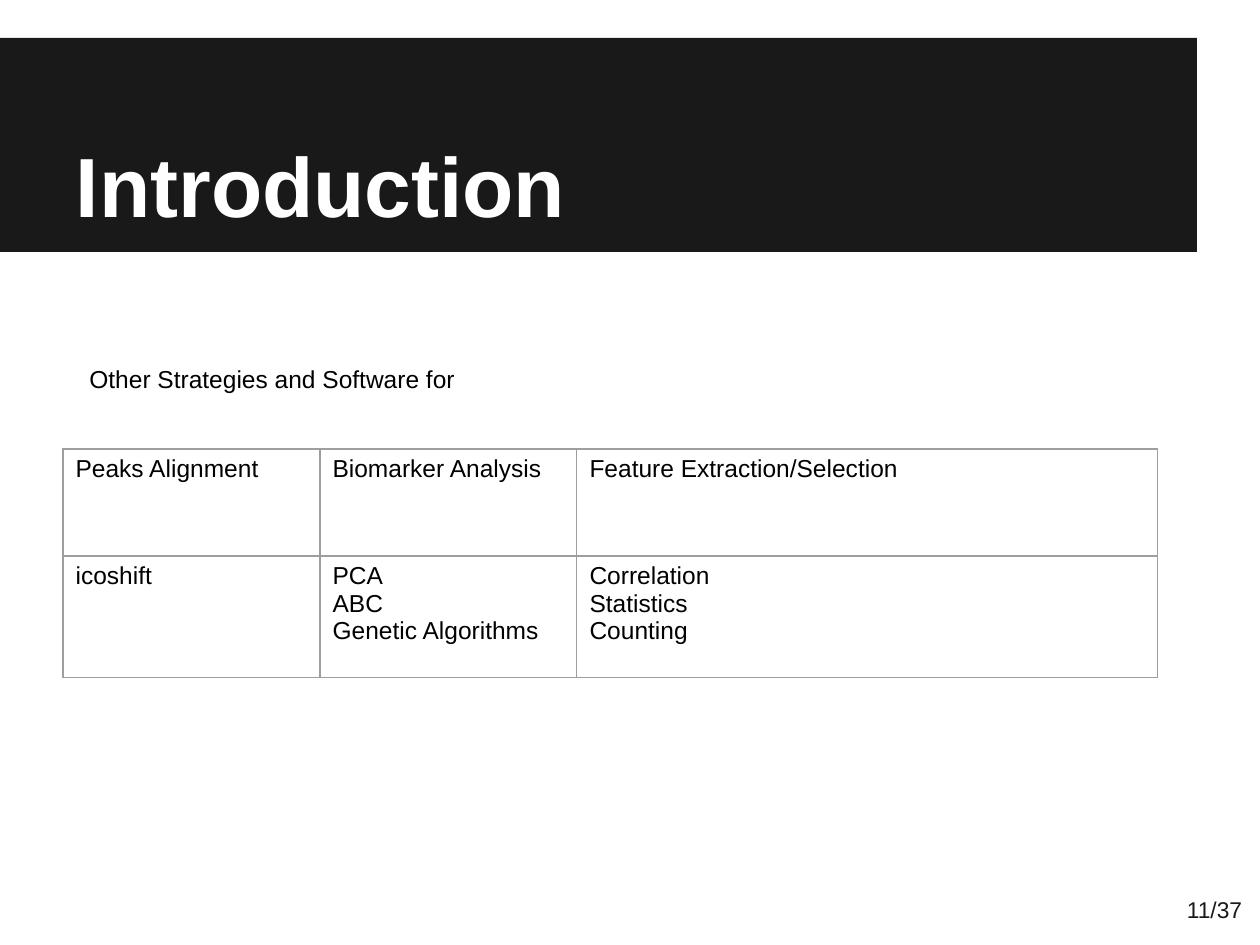
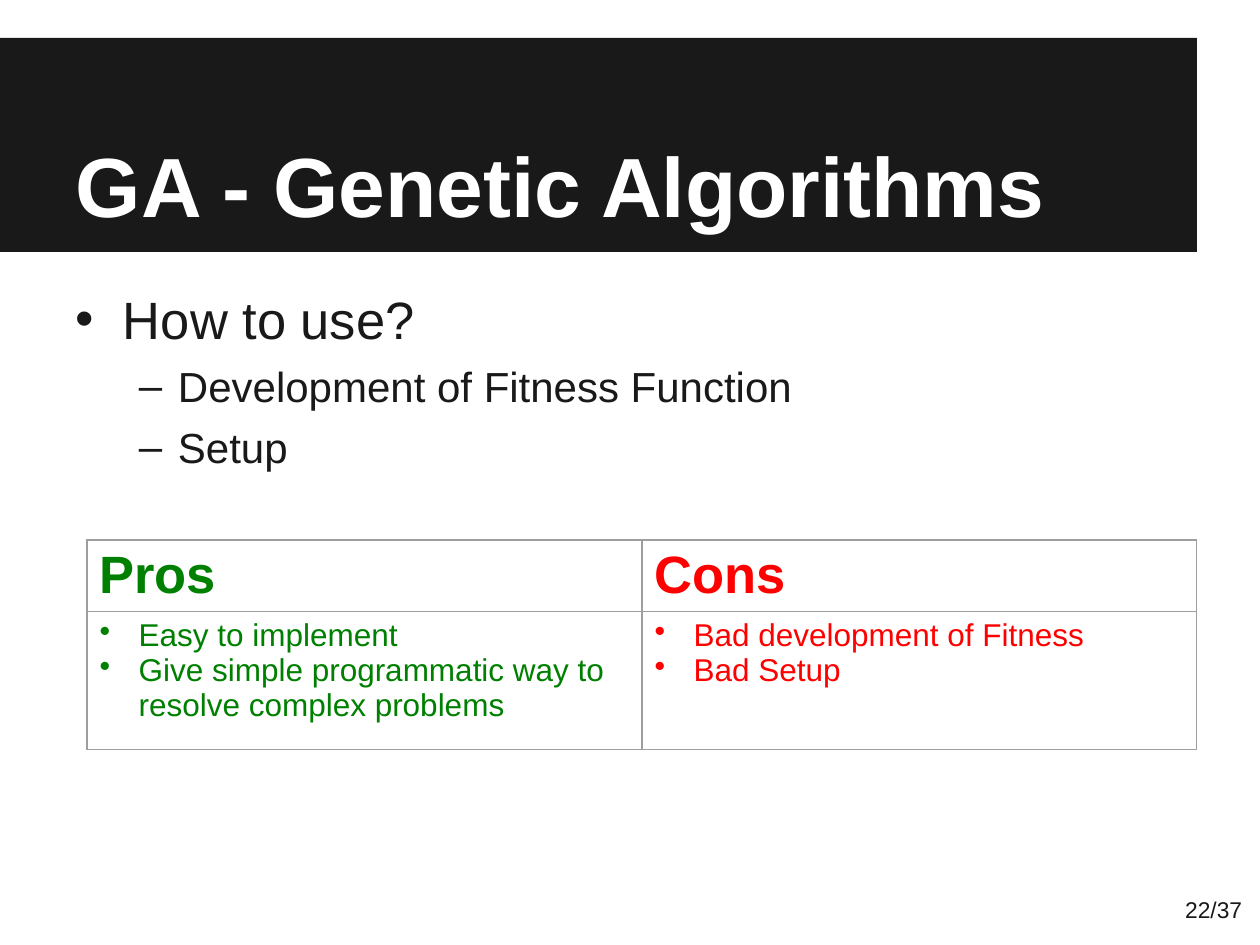
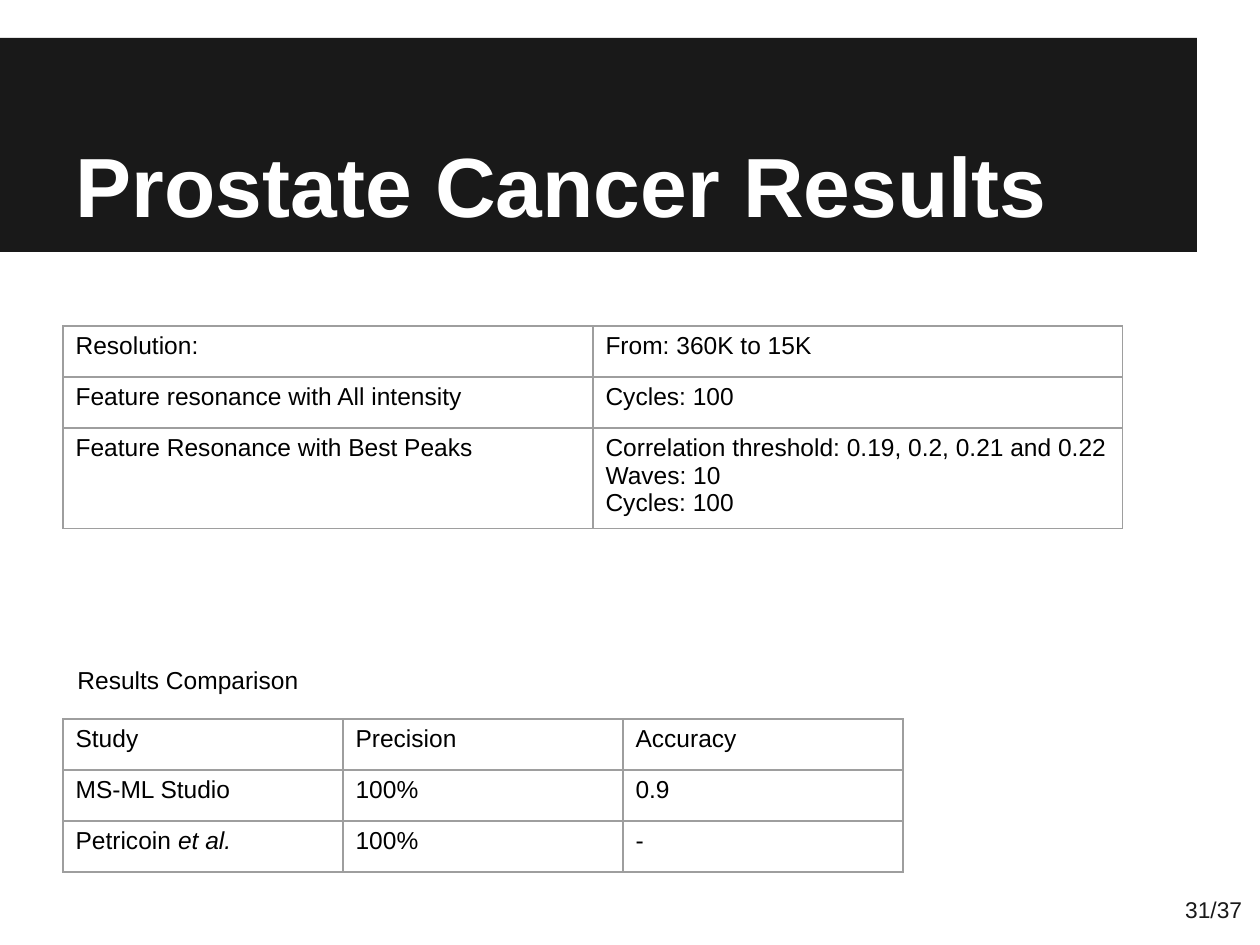
from lxml import etree
from pptx import Presentation
from pptx.dml.color import RGBColor
from pptx.enum.shapes import MSO_SHAPE
from pptx.enum.text import MSO_ANCHOR, MSO_AUTO_SIZE, PP_ALIGN
from pptx.oxml import parse_xml
from pptx.oxml.ns import nsdecls, qn
from pptx.util import Inches, Pt

PX = 914400 // 126
LEFT, RIGHT = PP_ALIGN.LEFT, PP_ALIGN.RIGHT
MIDDLE, BOTTOM = MSO_ANCHOR.MIDDLE, MSO_ANCHOR.BOTTOM
NO_AUTOFIT = MSO_AUTO_SIZE.NONE
RECTANGLE = MSO_SHAPE.RECTANGLE

FONT = "Arial"
DARK, WHITE, BLACK = "191919", "FFFFFF", "000000"
GREEN, RED, BORDER = "008000", "FF0000", "9E9E9E"


def write(frame, lines, size=14, color=BLACK, bold=False, align=LEFT,
          bullet=None, indent=0, hanging=0, level=0, space=0, inset=None, anchor=None):
    """Add lines to a text frame; text between asterisks is italic."""
    if inset is not None:
        frame.margin_left = frame.margin_right = inset * PX
        frame.margin_top = frame.margin_bottom = inset * PX
        frame.word_wrap = True
        frame.auto_size = NO_AUTOFIT
    if anchor is not None:
        frame.vertical_anchor = anchor
    for line in lines:
        first = frame.paragraphs[0]
        paragraph = frame.add_paragraph() if first.runs else first
        paragraph.alignment = align
        paragraph.level = level
        paragraph.space_before = Pt(space)
        if bullet:
            properties = paragraph._p.get_or_add_pPr()
            properties.set("marL", str(indent * PX))
            properties.set("indent", str(-hanging * PX))
            etree.SubElement(properties, qn("a:buChar")).set("char", bullet)
        for index, text in enumerate(line.split("*")):
            if text:
                run = paragraph.add_run()
                run.text = text
                run.font.name = FONT
                run.font.size = Pt(size)
                run.font.bold = bold
                run.font.italic = index % 2 == 1
                run.font.color.rgb = RGBColor.from_string(color)


def add_grid(slide, left, top, widths, heights, cells, formats=None):
    """Add a bordered table; formats holds the text format of each cell."""
    table = slide.shapes.add_table(
        len(heights), len(widths), left * PX, top * PX,
        sum(widths) * PX, sum(heights) * PX).table
    table.first_row = table.horz_banding = False
    for column, width in zip(table.columns, widths):
        column.width = width * PX
    for row_index, height in enumerate(heights):
        table.rows[row_index].height = height * PX
        for column_index, text in enumerate(cells[row_index]):
            cell = table.cell(row_index, column_index)
            cell.fill.background()
            for position, side in enumerate(("lnL", "lnR", "lnT", "lnB")):
                cell._tc.tcPr.insert(position, parse_xml(
                    f'<a:{side} {nsdecls("a")} w="{Pt(0.75)}"><a:solidFill>'
                    f'<a:srgbClr val="{BORDER}"/></a:solidFill></a:{side}>'))
            cell_format = formats[row_index][column_index] if formats else {}
            write(cell.text_frame, text.split("\n"), **cell_format)


presentation = Presentation()
presentation.slide_width = Inches(10)
presentation.slide_height = Inches(7.5)
content_layout, title_only_layout = (presentation.slide_layouts[i] for i in (1, 5))

# Title band, title and page number of every slide
slides = []
for title_text, page, layout in (
        ("Introduction", "11/37", title_only_layout),
        ("GA - Genetic Algorithms", "22/37", content_layout),
        ("Prostate Cancer Results", "31/37", title_only_layout)):
    slide = presentation.slides.add_slide(layout)
    slides.append(slide)
    band = slide.shapes.add_shape(RECTANGLE, 0, 38 * PX, 1197 * PX, 214 * PX)
    band.shadow.inherit = False
    band.fill.solid()
    band.fill.fore_color.rgb = RGBColor.from_string(DARK)
    band.line.fill.background()
    slide.shapes.title._element.addprevious(band._element)

    title = slide.shapes.title
    title.left, title.top, title.width, title.height = 63 * PX, 38 * PX, 1134 * PX, 209 * PX
    write(title.text_frame, [title_text], size=48, color=WHITE, bold=True,
          inset=13, anchor=BOTTOM)
    page_box = slide.shapes.add_textbox(1135 * PX, 873 * PX, 120 * PX, 72 * PX)
    write(page_box.text_frame, [page], size=13, color=DARK, align=RIGHT,
          inset=13, anchor=MIDDLE)
introduction, genetic, results = slides

# Captions above the tables
for slide, caption, left, top, width in (
        (introduction, "Other Strategies and Software for", 77, 358, 394),
        (results, "Results Comparison", 65, 659, 248)):
    caption_box = slide.shapes.add_textbox(left * PX, top * PX, width * PX, 43 * PX)
    caption_box.text_frame.word_wrap = False
    write(caption_box.text_frame, [caption])

# Introduction
add_grid(introduction, 63, 449, [257, 257, 581], [107, 122], [
    ["Peaks Alignment", "Biomarker Analysis", "Feature Extraction/Selection"],
    ["icoshift", "PCA\nABC\nGenetic Algorithms", "Correlation\nStatistics\nCounting"],
])

# Genetic algorithms
body = genetic.placeholders[1]
body.left, body.top, body.width, body.height = 63 * PX, 274 * PX, 1134 * PX, 630 * PX
write(body.text_frame, ["How to use?"], size=30, color=DARK,
      bullet="•", indent=47, hanging=47, inset=13)
write(body.text_frame, ["Development of Fitness Function", "Setup"], size=24, color=DARK,
      bullet="–", indent=102, hanging=39, level=1, space=6)

heading = {"size": 30, "bold": True}
item = {"size": 18, "bullet": "•", "indent": 39, "hanging": 39}
add_grid(genetic, 87, 540, [555, 555], [71, 138], [
    ["Pros", "Cons"],
    ["Easy to implement\nGive simple programmatic way to resolve complex problems",
     "Bad development of Fitness\nBad Setup"],
], [[{**style, "color": color} for color in (GREEN, RED)] for style in (heading, item)])

# Prostate cancer results
add_grid(results, 63, 326, [530, 530], [51, 51, 95], [
    ["Resolution:", "From: 360K to 15K"],
    ["Feature resonance with All intensity", "Cycles: 100"],
    ["Feature Resonance with Best Peaks",
     "Correlation threshold: 0.19, 0.2, 0.21 and 0.22\nWaves: 10\nCycles: 100"],
])
add_grid(results, 63, 719, [280] * 3, [51] * 3, [
    ["Study", "Precision", "Accuracy"],
    ["MS-ML Studio", "100%", "0.9"],
    ["Petricoin *et al.*", "100%", "-"],
])

presentation.save("out.pptx")
